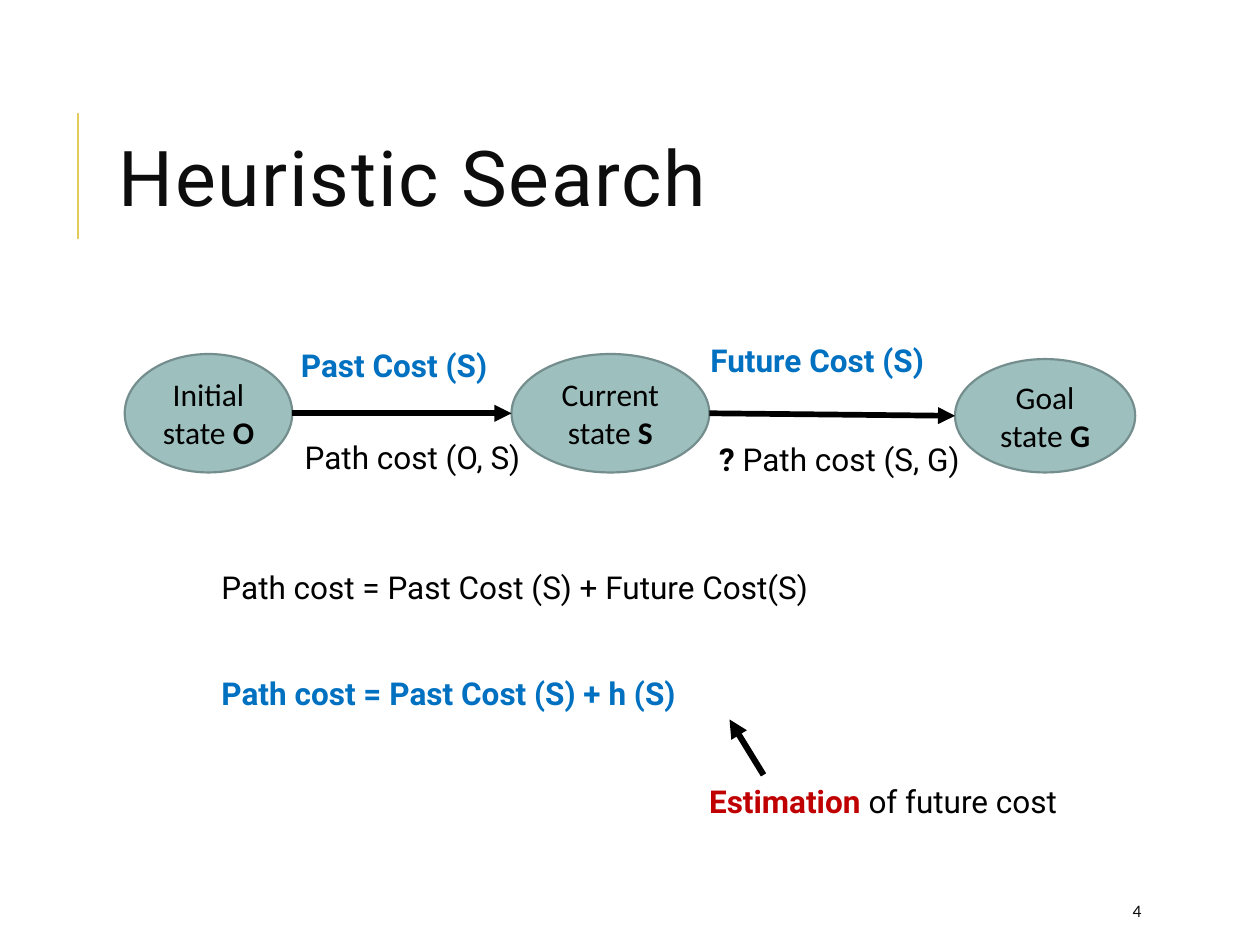
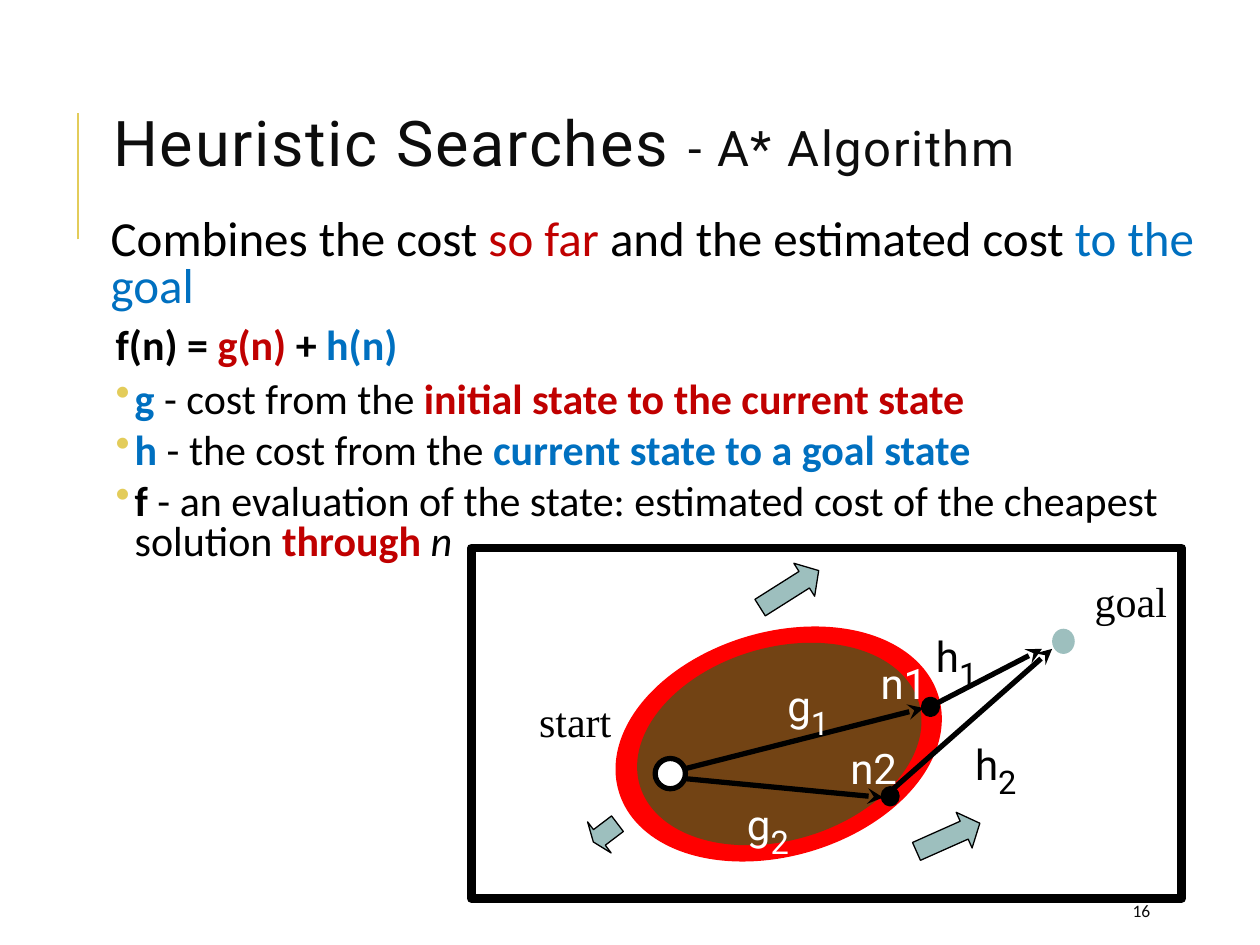
from lxml import etree
from pptx import Presentation
from pptx.dml.color import RGBColor
from pptx.enum.shapes import MSO_CONNECTOR, MSO_SHAPE
from pptx.enum.text import MSO_ANCHOR, MSO_AUTO_SIZE, PP_ALIGN
from pptx.oxml.ns import qn
from pptx.util import Emu, Pt

EMU_PER_PX = 9144  # 100 px to the inch

BLACK, WHITE, INK = "000000", "FFFFFF", "0D0D0D"
GOLD, TEAL, TEAL_EDGE = "E3CC5A", "9DBFBE", "748D8D"
BLUE, CRIMSON, RED, BROWN = "0070C0", "C00000", "FF0000", "724314"
SANS, BODY, SERIF = "Roboto", "Calibri", "Times New Roman"


def px(length):
    return Emu(round(length * EMU_PER_PX))


def rgb(value):
    return RGBColor.from_string(value)


def sub(parent, tag, **attributes):
    return etree.SubElement(parent, qn(tag), **attributes)


# Text

def add_runs(paragraph, runs, size=18, font=SANS, color=BLACK, bold=False,
             italic=False, spacing=None, baseline=None):
    """Runs are strings or (string, overrides) pairs."""
    base = dict(size=size, font=font, color=color, bold=bold, italic=italic,
                spacing=spacing, baseline=baseline)
    for item in [runs] if isinstance(runs, str) else runs:
        words, changes = (item, {}) if isinstance(item, str) else item
        look = {**base, **changes}
        run = paragraph.add_run()
        run.text = words
        run.font.size = Pt(look["size"])
        run.font.name = look["font"]
        run.font.bold = look["bold"]
        run.font.italic = look["italic"]
        run.font.color.rgb = rgb(look["color"])
        properties = run.font._element
        if look["spacing"]:
            properties.set("spc", str(look["spacing"]))
        if look["baseline"]:
            properties.set("baseline", str(look["baseline"]))


def set_space_before_percent(paragraph, percent):
    paragraph.space_before = Pt(0)
    space = paragraph._p.pPr.find(qn("a:spcBef"))
    space.clear()
    sub(space, "a:spcPct", val=str(percent * 1000))


def write(frame, runs, new=False, align=PP_ALIGN.LEFT, line=None, before=None,
          before_percent=None, after=None, indent=None, bullet=None, **look):
    paragraph = frame.add_paragraph() if new else frame.paragraphs[0]
    paragraph.alignment = align
    if line:
        paragraph.line_spacing = line
    if before is not None:
        paragraph.space_before = Pt(before)
    if before_percent:
        set_space_before_percent(paragraph, before_percent)
    if after is not None:
        paragraph.space_after = Pt(after)
    properties = paragraph._p.get_or_add_pPr()
    if indent:
        left, first = indent
        properties.set("marL", str(px(left)))
        properties.set("indent", str(px(first)))
    if bullet:
        sub(sub(properties, "a:buClr"), "a:srgbClr", val=GOLD)
        sub(properties, "a:buChar", char=bullet)
    add_runs(paragraph, runs, **look)


def add_text(slide, box, runs, wrap=False, anchor=MSO_ANCHOR.TOP, **look):
    frame = slide.shapes.add_textbox(*map(px, box)).text_frame
    frame.word_wrap = wrap
    frame.vertical_anchor = anchor
    write(frame, runs, **look)
    return frame


# Shapes and lines

def add_shape(slide, kind, box, fill=None, edge=None, width=1, turn=0):
    shape = slide.shapes.add_shape(kind, *map(px, box))
    shape.shadow.inherit = False
    shape.rotation = turn
    if fill:
        shape.fill.solid()
        shape.fill.fore_color.rgb = rgb(fill)
    else:
        shape.fill.background()
    if edge:
        shape.line.color.rgb = rgb(edge)
        shape.line.width = Pt(width)
    else:
        shape.line.fill.background()
    return shape


def add_line(slide, start, end, color=BLACK, width=3, head=None):
    line = slide.shapes.add_connector(MSO_CONNECTOR.STRAIGHT,
                                      *map(px, (*start, *end)))
    line.line.color.rgb = rgb(color)
    line.line.width = Pt(width)
    if head:
        sub(line.line._get_or_add_ln(), "a:tailEnd", type=head)
    sub(line._element.spPr, "a:effectLst")


def add_state(slide, box, words, letter):
    state = add_shape(slide, MSO_SHAPE.OVAL, box, TEAL, TEAL_EDGE, 1.25)
    frame = state.text_frame
    frame.word_wrap = True
    frame.vertical_anchor = MSO_ANCHOR.MIDDLE
    write(frame, [words, (letter, dict(bold=True))],
          align=PP_ALIGN.CENTER, font=BODY)


def add_growth_arrow(slide, box, turn, head):
    arrow = add_shape(slide, MSO_SHAPE.DOWN_ARROW, box, TEAL, BLACK, 0.75, turn)
    arrow.adjustments[0] = 0.5
    arrow.adjustments[1] = head


def add_symbol(slide, box, letter, index=None, color=BLACK):
    runs = [letter]
    if index:
        runs.append((index, dict(size=32, baseline=-25000)))
    add_text(slide, box, runs, size=24, color=color, before_percent=50)


# Frame shared by the slides

def add_slide(deck, number, title_box, title_runs, size):
    slide = deck.slides.add_slide(deck.slide_layouts[5])
    add_line(slide, (62, 190), (62, 90), GOLD, 1.5)
    title = slide.shapes.title
    title.left, title.top, title.width, title.height = map(px, title_box)
    frame = title.text_frame
    frame.auto_size = MSO_AUTO_SIZE.NONE
    frame.word_wrap = True
    frame.vertical_anchor = MSO_ANCHOR.MIDDLE
    write(frame, title_runs, line=0.8, before=0, after=3, size=size,
          color=INK, spacing=100)
    add_text(slide, (889, 708, 80, 30), number, wrap=True,
             anchor=MSO_ANCHOR.MIDDLE, size=10, font=BODY, color=INK)
    return slide


def build_cost_slide(deck):
    slide = add_slide(deck, "4", (84, 64, 797, 164), "Heuristic Search", 44)

    # Chain of states
    add_state(slide, (99, 281, 133, 94), "Initial state ", "O")
    add_state(slide, (406, 281, 157, 94), "Current state ", "S")
    add_state(slide, (758, 285, 143, 90), "Goal state ", "G")
    add_line(slide, (232, 328), (406, 328), width=3.25, head="triangle")
    add_line(slide, (563, 328), (758, 330), width=3.25, head="triangle")

    # Costs along the chain
    strong = dict(color=BLUE, bold=True)
    add_text(slide, (229, 270, 190, 40), "Past Cost (S)", wrap=True, **strong)
    add_text(slide, (554, 266, 213, 40), "Future Cost (S)", **strong)
    add_text(slide, (232, 343, 196, 40), "Path cost (O, S)")
    add_text(slide, (561, 344, 217, 40),
             [("? ", dict(bold=True)), "Path cost (S, G)"])

    # Formulas
    add_text(slide, (166, 446, 496, 40),
             "Path cost = Past Cost (S) + Future Cost(S)")
    add_text(slide, (166, 530, 440, 40), "Path cost = Past Cost (S) + h (S)",
             wrap=True, **strong)
    add_text(slide, (553, 616, 313, 40),
             [("Estimation ", dict(color=CRIMSON, bold=True)),
              "of future cost"])
    add_line(slide, (606, 615), (579, 571), width=3.5, head="triangle")


def add_explanation(slide):
    red, blue = dict(color=CRIMSON), dict(color=BLUE)
    bold = dict(bold=True)
    bold_red, bold_blue = {**red, **bold}, {**blue, **bold}
    shared = dict(font=BODY, line=0.8)
    frame = add_text(
        slide, (68, 169, 928, 567),
        ["Combines the cost ", ("so far ", red), "and the estimated cost ",
         ("to the goal", blue)],
        wrap=True, size=28, indent=(10, 0), before_percent=10, after=6,
        **shared)
    write(frame, ["f(n) = ", ("g(n) ", red), "+", (" h(n)", blue)], new=True,
          size=24, bold=True, indent=(14, 0), before_percent=10, after=6,
          **shared)
    definitions = [
        [("g", bold_blue), " - cost from the ",
         ("initial state to the current state", bold_red)],
        [("h ", bold_blue), "- the cost from the ",
         ("current state to a goal state", bold_blue)],
        [("f ", bold), "- an evaluation of the state: estimated cost of the "
         "cheapest solution ", ("through ", bold_red),
         ("n", dict(italic=True))],
    ]
    for runs in definitions:
        write(frame, runs, new=True, size=24, indent=(29, -15), bullet="•",
              before=2, after=4, **shared)


def add_search_diagram(slide):
    oval = MSO_SHAPE.OVAL
    place = dict(size=24, font=SERIF, before_percent=50)

    # Frame and explored region
    add_text(slide, (859, 452, 87, 45), "goal", **place)
    add_shape(slide, MSO_SHAPE.RECTANGLE, (374, 435, 564, 278), None, BLACK, 5)
    add_shape(slide, oval, (496, 512, 244, 157), None, RED, 15, 343.5)
    add_shape(slide, oval, (503, 514, 231, 153), BROWN, turn=343.5)
    add_shape(slide, oval, (520, 602, 24, 24), WHITE, BLACK, 3)
    add_text(slide, (418, 547, 87, 45), "start", **place)

    # Directions of growth
    add_growth_arrow(slide, (737, 637, 31, 55), 246, 0.438)
    add_growth_arrow(slide, (611, 440, 31, 55), 237.7, 0.438)
    add_growth_arrow(slide, (465, 649, 31, 24), 52.8, 0.25)

    # Nodes and paths
    for left, top in ((733, 555), (701, 626)):
        add_shape(slide, oval, (left, top, 11, 12), BLACK, BLACK, 3)
    for start, end in (((544, 610), (733, 562)), ((738, 561), (827, 515)),
                       ((544, 618), (701, 633)), ((709, 626), (835, 515))):
        add_line(slide, start, end, head="stealth")
    add_symbol(slide, (689, 517, 57, 51), "n1", color=WHITE)
    add_symbol(slide, (615, 523, 55, 51), "g", "1", WHITE)
    add_symbol(slide, (733, 484, 55, 51), "h", "1")
    add_symbol(slide, (665, 584, 57, 50), "n2", color=WHITE)
    add_symbol(slide, (583, 618, 55, 50), "g", "2", WHITE)
    add_symbol(slide, (764, 570, 55, 50), "h", "2")
    add_shape(slide, oval, (835, 499, 18, 20), TEAL)


def build_a_star_slide(deck):
    slide = add_slide(deck, "16", (80, 36, 889, 164),
                      ["Heuristic Searches ",
                       ("- A* Algorithm", dict(size=28))], 36)
    add_explanation(slide)
    add_search_diagram(slide)


def main():
    deck = Presentation()
    deck.slide_width, deck.slide_height = px(1000), px(750)
    build_cost_slide(deck)
    build_a_star_slide(deck)
    deck.save("out.pptx")


if __name__ == "__main__":
    main()
